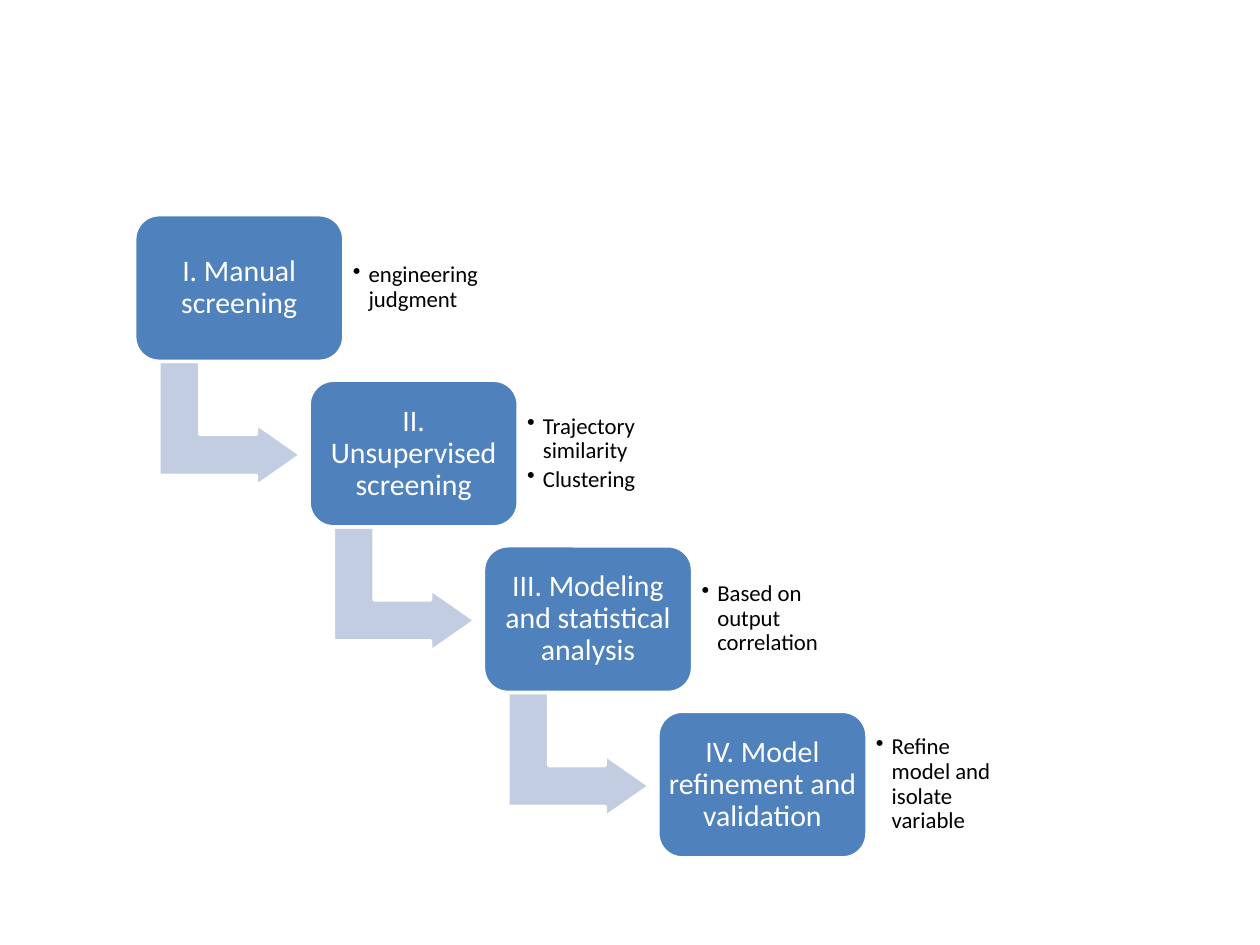
from dataclasses import dataclass

from lxml.etree import SubElement
from pptx import Presentation
from pptx.dml.color import RGBColor
from pptx.enum.shapes import MSO_SHAPE
from pptx.enum.text import MSO_ANCHOR, PP_ALIGN
from pptx.oxml.ns import qn
from pptx.shapes.autoshape import Shape
from pptx.slide import Slide
from pptx.text.text import TextFrame
from pptx.util import Pt


@dataclass(frozen=True)
class Theme:
    font: str = "Calibri"
    box: RGBColor = RGBColor(0x4F, 0x81, 0xBD)
    arrow: RGBColor = RGBColor(0xC2, 0xCD, 0xE1)
    outline: RGBColor = RGBColor(0xFF, 0xFF, 0xFF)
    title: RGBColor = RGBColor(0xFF, 0xFF, 0xFF)
    detail: RGBColor = RGBColor(0, 0, 0)
    title_size: float = 17
    detail_size: float = 13
    outline_width: float = 2


@dataclass(frozen=True)
class Step:
    title: str
    details: tuple[str, ...]


@dataclass(frozen=True)
class Box:
    left: float
    top: float
    width: float
    height: float

    def moved(self, index: int) -> "Box":
        return Box(self.left + index * STEP_X, self.top + index * STEP_Y,
                   self.width, self.height)

    def lengths(self) -> tuple[Pt, ...]:
        return Pt(self.left), Pt(self.top), Pt(self.width), Pt(self.height)


THEME = Theme()
STEPS = (
    Step("I. Manual screening", ("engineering judgment",)),
    Step("II. Unsupervised screening", ("Trajectory similarity", "Clustering")),
    Step("III. Modeling and statistical analysis", ("Based on output correlation",)),
    Step("IV. Model refinement and validation", ("Refine model and isolate variable",)),
)

# Places of the first step; each later step moves right and down
STEP_X, STEP_Y = 99.65, 94.6
TITLE_BOX = Box(77, 122.7, 119.5, 83.8)
DETAIL_BOX = Box(196.6, 130.6, 87, 67.6)
ARROW_BOX = Box(95.8, 201.6, 71.2, 81.1)
INDENT = 9


def set_attributes(target: object, values: dict[str, object]) -> None:
    for name, value in values.items():
        setattr(target, name, value)


def format_frame(tf: TextFrame, margin: float) -> None:
    sides = ("left", "top", "right", "bottom")
    set_attributes(tf, {"word_wrap": True, "vertical_anchor": MSO_ANCHOR.MIDDLE}
                   | {f"margin_{side}": Pt(margin) for side in sides})


def add_text(tf: TextFrame, lines: tuple[str, ...], size: float, color: RGBColor,
             layout: dict[str, object], bullet: bool = False) -> None:
    for i, line in enumerate(lines):
        p = tf.add_paragraph() if i else tf.paragraphs[0]
        set_attributes(p, {"line_spacing": 0.9} | layout)
        r = p.add_run()
        r.text = line
        set_attributes(r.font, {"name": THEME.font, "size": Pt(size)})
        r.font.color.rgb = color
        if bullet:
            pPr = p._p.get_or_add_pPr()
            pPr.set("marL", str(Pt(INDENT)))
            pPr.set("indent", str(-Pt(INDENT)))
            SubElement(pPr, qn("a:buChar")).set("char", "•")


def add_filled(s: Slide, kind: MSO_SHAPE, box: Box, fill: RGBColor,
               adjustments: tuple[float, ...]) -> Shape:
    sp = s.shapes.add_shape(kind, *box.lengths())
    sp.shadow.inherit = False
    sp.fill.solid()
    sp.fill.fore_color.rgb = fill
    sp.line.color.rgb = THEME.outline
    sp.line.width = Pt(THEME.outline_width)
    for i, value in enumerate(adjustments):
        sp.adjustments[i] = value
    return sp


def add_step(s: Slide, step: Step, index: int, has_next: bool) -> None:
    # Arrow to the next step
    if has_next:
        arrow = add_filled(s, MSO_SHAPE.BENT_UP_ARROW, ARROW_BOX.moved(index),
                           THEME.arrow, (0.328, 0.25, 0.358))
        arrow.rotation = 90

    # Title box
    sp = add_filled(s, MSO_SHAPE.ROUNDED_RECTANGLE, TITLE_BOX.moved(index),
                    THEME.box, (0.167,))
    format_frame(sp.text_frame, 1)
    add_text(sp.text_frame, (step.title,), THEME.title_size, THEME.title,
             {"alignment": PP_ALIGN.CENTER})

    # Bulleted details
    tf = s.shapes.add_textbox(*DETAIL_BOX.moved(index).lengths()).text_frame
    format_frame(tf, 5)
    add_text(tf, step.details, THEME.detail_size, THEME.detail,
             {"alignment": PP_ALIGN.LEFT, "space_after": Pt(2)}, bullet=True)


prs = Presentation()
set_attributes(prs, {"slide_width": Pt(720), "slide_height": Pt(540)})
s = prs.slides.add_slide(prs.slide_layouts[6])
for index, step in enumerate(STEPS):
    add_step(s, step, index, index < len(STEPS) - 1)
prs.save("out.pptx")
